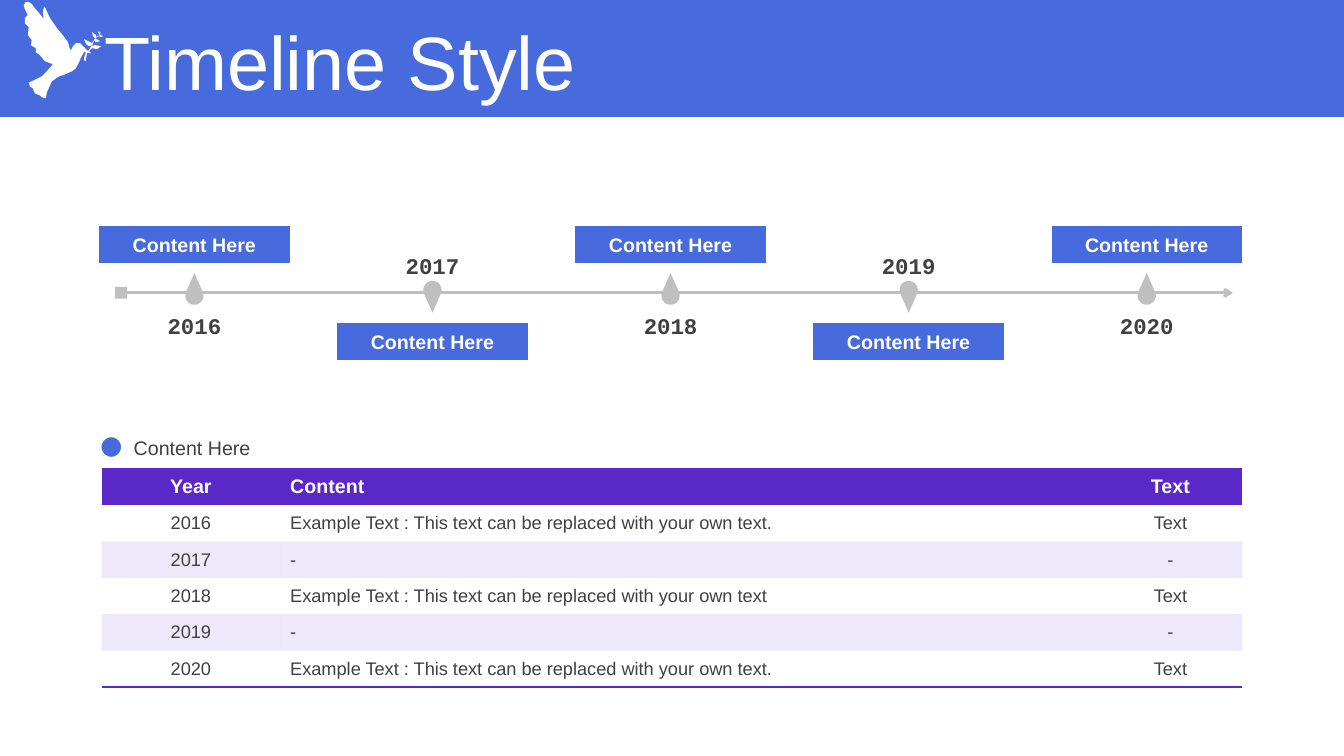
from math import cos, radians, sin
from pptx import Presentation
from pptx.dml.color import RGBColor
from pptx.enum.shapes import MSO_CONNECTOR, MSO_SHAPE
from pptx.enum.text import MSO_ANCHOR, MSO_AUTO_SIZE, PP_ALIGN
from pptx.oxml import parse_xml
from pptx.oxml.ns import nsdecls, qn
from pptx.util import Cm, Pt

BLUE, PURPLE, LILAC = "476ADD", "5A28C8", "DDD2F6"
GREY, INK, WHITE = "BFBFBF", "404040", "FFFFFF"
NO_GRID_STYLE = "{2D5ABB26-0587-4C30-8999-92F81FD0307C}"

DOVE_GRID = 79
DOVE = [
    (11, 91), (9, 86), (6, 84), (5, 80), (8, 79), (18, 74), (23, 69), (29, 62),
    (21, 59), (16, 53), (12, 50), (12, 46), (7, 43), (8, 38), (4, 33), (5, 25),
    (1, 21), (1, 16), (4, 13), (1, 7), (0, 3), (2, 0), (5, 0), (8, 2), (10, 5),
    (16, 12), (20, 17), (19, 11), (20, 5), (21, 5), (26, 16), (33, 26),
    (38, 32), (44, 40), (46, 47), (47, 48), (49, 44), (52, 41), (56, 41),
    (61, 46), (64, 49), (68, 43), (65, 44), (62, 42), (60, 37), (64, 39),
    (68, 41), (71, 36), (69, 34), (68, 30), (72, 33), (72, 35), (76, 33),
    (74, 31), (75, 29), (76, 32), (77, 29), (76, 33), (79, 34), (77, 35),
    (75, 34), (71, 36), (76, 39), (72, 40), (70, 38), (68, 44), (71, 43),
    (77, 44), (73, 47), (68, 46), (65, 49), (67, 51), (63, 51), (62, 56),
    (62, 59), (60, 58), (60, 56), (62, 50), (60, 50), (57, 55), (56, 58),
    (52, 66), (48, 69), (39, 73), (35, 74), (28, 79), (23, 90), (22, 96),
    (18, 95), (16, 93),
]

EXAMPLE = "Example Text : This text can be replaced with your own text"
MILESTONES = ["2016", "2017", "2018", "2019", "2020"]
ROWS = [
    ("Year", "Content", "Text"),
    ("2016", EXAMPLE + ".", "Text"),
    ("2017", "-", "-"),
    ("2018", EXAMPLE, "Text"),
    ("2019", "-", "-"),
    ("2020", EXAMPLE + ".", "Text"),
]


def color(value):
    return RGBColor.from_string(value)


def write(frame, text, size, ink, bold=False, align=PP_ALIGN.LEFT, face="Arial"):
    paragraph = frame.paragraphs[0]
    paragraph.alignment = align
    run = paragraph.add_run()
    run.text = text
    run.font.size, run.font.bold, run.font.name = Pt(size), bold, face
    run.font.color.rgb = color(ink)


def paint(shape, fill):
    shape.shadow.inherit = False
    shape.fill.solid()
    shape.fill.fore_color.rgb = color(fill)
    shape.line.fill.background()
    return shape


def add_block(slide, kind, left, top, width, height, fill):
    return paint(slide.shapes.add_shape(kind, left, top, width, height), fill)


def add_outline(slide, points, fill):
    builder = slide.shapes.build_freeform(*points[0])
    builder.add_line_segments(points[1:], close=True)
    return paint(builder.convert_to_shape(), fill)


def add_label(slide, left, top, width, height, text, size, **style):
    frame = slide.shapes.add_textbox(left, top, width, height).text_frame
    frame.word_wrap = True
    write(frame, text, size, INK, **style)


def add_header(slide, left, top, width, height):
    add_block(slide, MSO_SHAPE.RECTANGLE, left, top, width, height, BLUE)
    unit = Cm(2) / DOVE_GRID
    dove = add_outline(slide, [
        (round(left + Cm(0.6) + x * unit), round(top + Cm(0.05) + y * unit))
        for x, y in DOVE], WHITE)
    title = slide.shapes.title
    dove.element.addnext(title.element)
    title.left, title.top = left + Cm(2.37), top + Cm(0.66)
    title.width, title.height = Cm(30.1), Cm(2)
    frame = title.text_frame
    frame.word_wrap = True
    frame.auto_size = MSO_AUTO_SIZE.NONE
    frame.vertical_anchor = MSO_ANCHOR.MIDDLE
    frame.paragraphs[0].line_spacing = 0.9
    write(frame, "Timeline Style", 54, WHITE)


def add_drop(slide, center, axis, direction):
    radius = Cm(0.23)
    hub = axis - direction * Cm(0.07)
    arc = [(round(center + radius * cos(radians(angle))),
            round(hub - direction * radius * sin(radians(angle))))
           for angle in range(-20, 201, 10)]
    add_outline(slide, [(center, hub + direction * Cm(0.57))] + arc, GREY)


def add_timeline(slide, left, top, width, height):
    axis = top + height // 2
    arrow = slide.shapes.add_connector(
        MSO_CONNECTOR.STRAIGHT, left + Cm(0.7), axis, left + width - Cm(0.23), axis)
    arrow.line.color.rgb = color(GREY)
    arrow.line.width = Pt(2)
    arrow.line._get_or_add_ln().append(
        parse_xml(f'<a:tailEnd {nsdecls("a")} type="arrow"/>'))
    arrow.element.spPr.append(parse_xml(f'<a:effectLst {nsdecls("a")}/>'))
    add_block(slide, MSO_SHAPE.RECTANGLE, left + Cm(0.4), axis - Cm(0.15),
              Cm(0.3), Cm(0.3), GREY)

    tag_width, tag_height, year_width = Cm(4.8), Cm(0.92), Cm(2.77)
    pitch = (width - tag_width) // (len(MILESTONES) - 1)
    for index, year in enumerate(MILESTONES):
        center = left + tag_width // 2 + index * pitch
        above = index % 2 == 0
        add_drop(slide, center, axis, -1 if above else 1)
        tag = add_block(slide, MSO_SHAPE.FLOWCHART_PROCESS, center - tag_width // 2,
                        top if above else top + height - tag_height,
                        tag_width, tag_height, BLUE)
        tag.text_frame.vertical_anchor = MSO_ANCHOR.MIDDLE
        write(tag.text_frame, "Content Here", 14, WHITE, True, PP_ALIGN.CENTER)
        add_label(slide, center - year_width // 2,
                  axis + (Cm(0.36) if above else -Cm(1.16)), year_width, Cm(0.84),
                  year, 16, bold=True, align=PP_ALIGN.CENTER, face="Courier New")


def fill_cell(cell, row):
    if row == 0 or row % 2 == 0:
        cell.fill.solid()
        cell.fill.fore_color.rgb = color(LILAC if row else PURPLE)
    else:
        cell.fill.background()
    properties = cell._tc.get_or_add_tcPr()
    if row and row % 2 == 0:
        properties.find(".//" + qn("a:srgbClr")).append(
            parse_xml(f'<a:alpha {nsdecls("a")} val="50000"/>'))
    if row == len(ROWS) - 1:
        properties.insert(0, parse_xml(
            f'<a:lnB {nsdecls("a")} w="{Pt(1)}"><a:solidFill>'
            f'<a:srgbClr val="{PURPLE}"/></a:solidFill></a:lnB>'))


def add_details(slide, left, top, width, height):
    bullet = add_block(slide, MSO_SHAPE.OVAL, left - Cm(0.02), top + Cm(0.15),
                       Cm(0.53), Cm(0.53), BLUE)
    bullet.line.color.rgb = color(WHITE)
    bullet.line.width = Pt(1)
    add_label(slide, left + Cm(0.56), top, Cm(8), Cm(0.86), "Content Here", 14)

    caption_height, header_height = Cm(0.94), Cm(0.94)
    table_height = height - caption_height
    frame = slide.shapes.add_table(
        len(ROWS), 3, left, top + caption_height, width, table_height)
    frame.element.find(".//" + qn("a:tableStyleId")).text = NO_GRID_STYLE
    table = frame.table
    table.horz_banding = False
    year_width, text_width = Cm(4.5), Cm(3.63)
    widths = year_width, width - year_width - text_width, text_width
    for column, column_width in zip(table.columns, widths):
        column.width = column_width
    for row, entries in enumerate(ROWS):
        table.rows[row].height = (
            (table_height - header_height) // (len(ROWS) - 1) if row else header_height)
        for column, text in enumerate(entries):
            cell = table.cell(row, column)
            cell.vertical_anchor = MSO_ANCHOR.MIDDLE
            fill_cell(cell, row)
            write(cell.text_frame, text, 13 if row else 14, INK if row else WHITE,
                  row == 0, PP_ALIGN.LEFT if column == 1 else PP_ALIGN.CENTER)


def main():
    deck = Presentation()
    deck.slide_width, deck.slide_height = Cm(33.87), Cm(19.05)
    slide = deck.slides.add_slide(deck.slide_layouts[5])
    add_header(slide, 0, 0, deck.slide_width, Cm(2.95))
    add_timeline(slide, Cm(2.5), Cm(5.7), Cm(28.8), Cm(3.36) + Cm(0))
    add_details(slide, Cm(2.56), Cm(10.85), Cm(28.75), Cm(6.46))
    deck.save("out.pptx")


if __name__ == "__main__":
    main()
